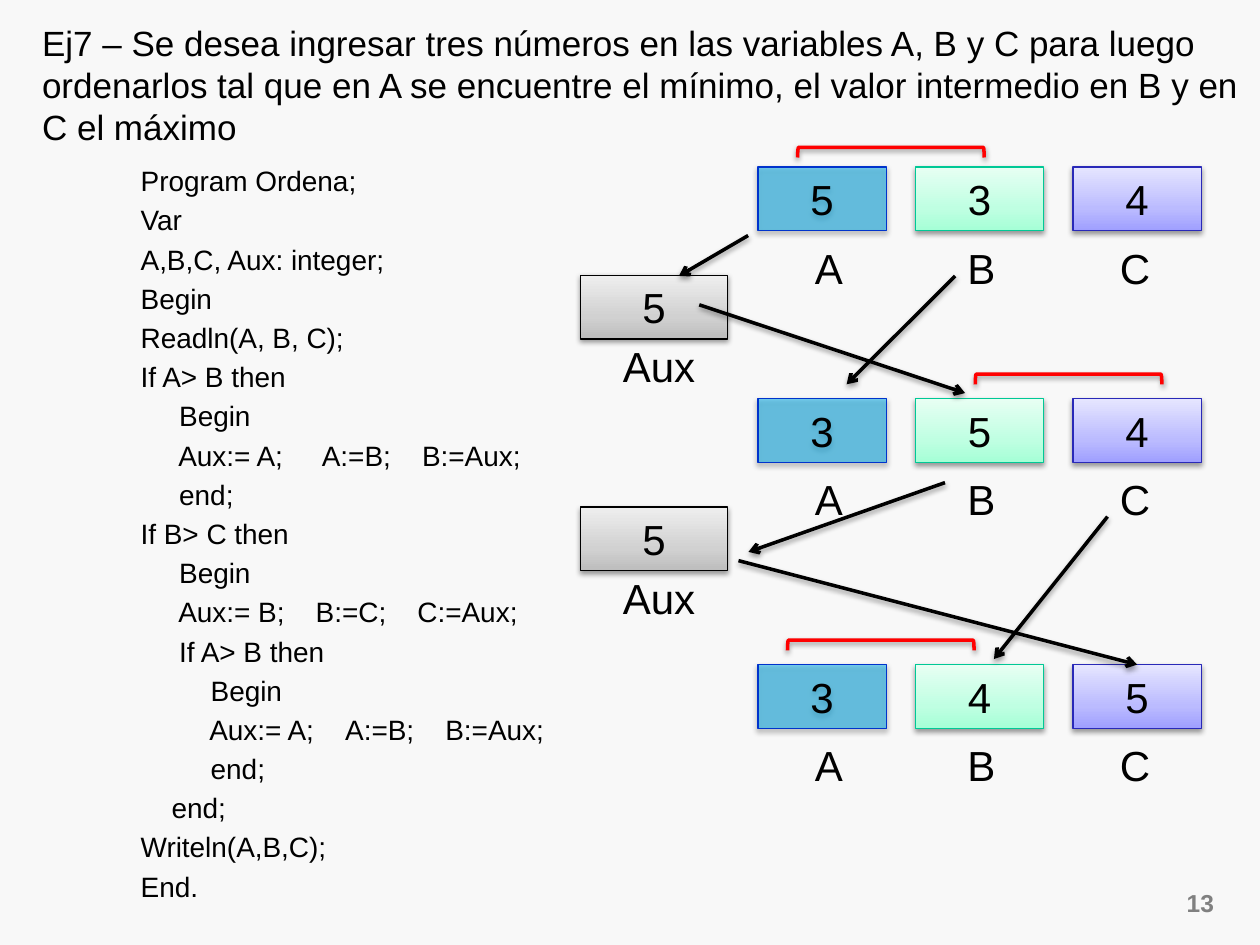
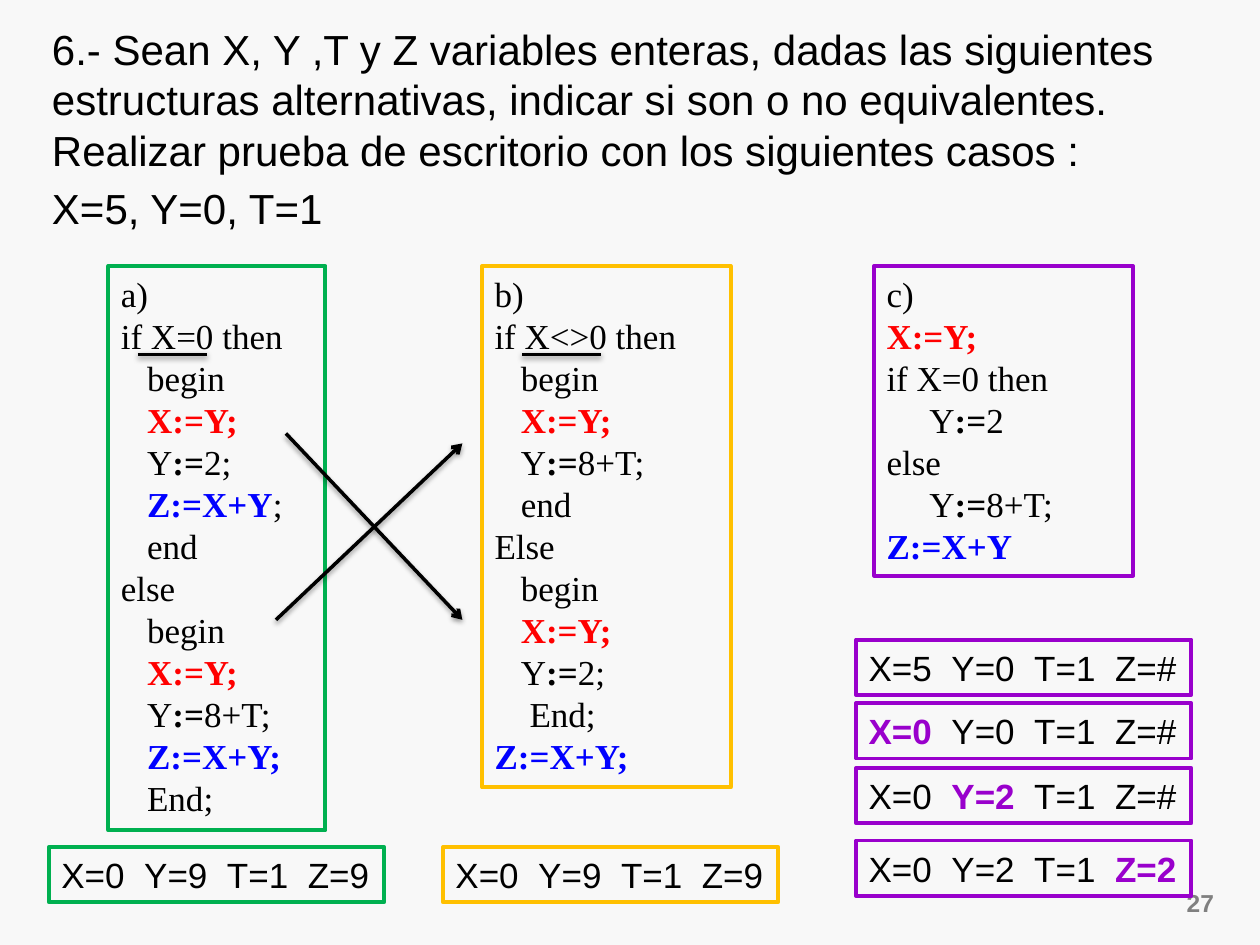
from lxml.etree import SubElement
from pptx import Presentation
from pptx.dml.color import RGBColor
from pptx.enum.shapes import MSO_CONNECTOR, MSO_SHAPE as SHAPE
from pptx.enum.text import MSO_ANCHOR as ANCHOR, MSO_AUTO_SIZE as AUTO_SIZE, PP_ALIGN as ALIGN
from pptx.oxml.ns import qn
from pptx.util import Pt

BLACK, RED, BLUE = "000000", "FF0000", "0000FF"
GREEN, AMBER, PURPLE = "00B050", "FFC000", "9900CC"
SANS, SERIF = "Arial", "Times New Roman"
SPACE_WIDTH = 0.278  # of the size, in the sans font

# Fill colours from bottom to top, and outline, of each memory cell
CELL_STYLES = {
    "A": (["00B0F0"], "0033CC"),
    "B": (["A5FFD6", "BFFFE2", "E7FFF3"], "00C896"),
    "C": (["9F9FFF", "BBBBFF", "E5E5FF"], "2929B8"),
    "Aux": (["BDBDBD", "D1D1D1", "EEEEEE"], BLACK),
}

# A line is its left indent and its pieces. A piece is plain text,
# (text, colour) for bold, or a number for a gap of that width.
PROGRAM = [
    (0, ["Program Ordena;"]),
    (0, ["Var"]),
    (0, ["A,B,C, Aux: integer;"]),
    (0, ["Begin"]),
    (0, ["Readln(A, B, C);"]),
    (0, ["If A> B then"]),
    (22, ["Begin"]),
    (21.5, ["Aux:= A;", 22.2, "A:=B;", 17.8, "B:=Aux;"]),
    (22, ["end;"]),
    (0, ["If B> C then"]),
    (22, ["Begin"]),
    (21.5, ["Aux:= B;", 17.8, "B:=C;", 17.8, "C:=Aux;"]),
    (22, ["If A> B then"]),
    (40, ["Begin"]),
    (39.2, ["Aux:= A;", 17.8, "A:=B;", 17.8, "B:=Aux;"]),
    (40, ["end;"]),
    (17.7, ["end;"]),
    (0, ["Writeln(A,B,C);"]),
    (0, ["End."]),
]

SET_X, SET_Z, ASSIGN = ("X:=Y;", RED), ("Z:=X+Y;", BLUE), (":=", BLACK)
Y_TWO, Y_SUM = ["Y", ASSIGN, "2;"], ["Y", ASSIGN, "8+T;"]
ALTERNATIVES = [
    ((62, 152, 124, 322.5), GREEN, [
        (0, ["a)"]), (0, ["if X=0 then"]), (15, ["begin"]), (15, [SET_X]), (15, Y_TWO),
        (15, [("Z:=X+Y", BLUE), ";"]), (15, ["end"]), (0, ["else"]), (15, ["begin"]),
        (15, [SET_X]), (15, Y_SUM), (15, [SET_Z]), (15, ["End;"])]),
    ((275.5, 152, 142, 298), AMBER, [
        (0, ["b)"]), (0, ["if X<>0 then"]), (15, ["begin"]), (15, [SET_X]), (15, Y_SUM),
        (15, ["end"]), (0, ["Else"]), (15, ["begin"]), (15, [SET_X]), (15, Y_TWO),
        (20, ["End;"]), (0, [SET_Z])]),
    ((499.5, 152, 148, 177), PURPLE, [
        (0, ["c)"]), (0, [SET_X]), (0, ["if X=0 then"]), (24.5, ["Y", ASSIGN, "2"]),
        (0, ["else"]), (24.5, Y_SUM), (0, [("Z:=X+Y", BLUE)])]),
]

# Left, top, outline and values of each trace of the variables
TRACE_GAP = 11.1
TRACES = [
    (28, 484, GREEN, ["X=0", "Y=9", "T=1", "Z=9"]),
    (253.2, 484, AMBER, ["X=0", "Y=9", "T=1", "Z=9"]),
    (489.3, 365.5, PURPLE, ["X=5", "Y=0", "T=1", "Z=#"]),
    (489.3, 401.8, PURPLE, [("X=0", PURPLE), "Y=0", "T=1", "Z=#"]),
    (489.3, 438.8, PURPLE, ["X=0", ("Y=2", PURPLE), "T=1", "Z=#"]),
    (489.3, 480.3, PURPLE, ["X=0", "Y=2", "T=1", ("Z=2", PURPLE)]),
]


def rgb(hex_code):
    return RGBColor.from_string(hex_code)


def add_shadow(shape):
    """Give the shape a soft shadow just below it; its line must be set already."""
    props = shape._element.spPr
    effects = props.find(qn("a:effectLst"))
    if effects is None:
        effects = SubElement(props, qn("a:effectLst"))
    outer = SubElement(effects, qn("a:outerShdw"), blurRad=str(Pt(3.1)),
                       dist=str(Pt(1.6)), dir="5400000", rotWithShape="0")
    color = SubElement(outer, qn("a:srgbClr"), val=BLACK)
    SubElement(color, qn("a:alpha"), val="38000")


def fill_gradient(shape, colors):
    shape.fill.gradient()
    shape.fill.gradient_angle = 90
    stops = shape._element.spPr.find(".//" + qn("a:gsLst"))
    for old_stop in list(stops):
        stops.remove(old_stop)
    for position, color in zip((0, 35000, 100000), colors):
        stop = SubElement(stops, qn("a:gs"), pos=str(position))
        SubElement(stop, qn("a:srgbClr"), val=color)


def format_line(paragraph, size, font=SANS, color=BLACK, bold=False,
                align=ALIGN.LEFT, before=0, indent=0):
    paragraph.alignment = align
    paragraph.space_before = Pt(before)
    paragraph.line_spacing = Pt(1.2 * size)
    props = paragraph._p.get_or_add_pPr()
    props.set("marL", str(Pt(indent)))
    props.set("indent", "0")
    SubElement(props, qn("a:buNone"))
    for run in paragraph.runs:
        run.font.name, run.font.size, run.font.bold = font, Pt(size), bold
        run.font.color.rgb = rgb(color)


def write_lines(frame, lines, size, **style):
    for index, (indent, pieces) in enumerate(lines):
        paragraph = frame.add_paragraph() if index else frame.paragraphs[0]
        runs = [paragraph.add_run() for _ in pieces]
        format_line(paragraph, size, indent=indent, **style)
        for run, piece in zip(runs, pieces):
            if isinstance(piece, str):
                run.text = piece
            elif isinstance(piece, tuple):
                run.text, run.font.bold = piece[0], True
                run.font.color.rgb = rgb(piece[1])
            else:
                run.text = " "
                spacing = round(100 * (piece - SPACE_WIDTH * size))
                run.font._element.set("spc", str(spacing))


class Deck:
    def __init__(self):
        self.prs = Presentation()
        self.prs.slide_width, self.prs.slide_height = Pt(720), Pt(540)
        background = self.prs.slide_master.background.fill
        background.solid()
        background.fore_color.rgb = rgb("F8F8F8")

    def new_slide(self, number):
        self.slide = self.prs.slides.add_slide(self.prs.slide_layouts[1])
        self.shapes = self.slide.shapes
        self.label(number, 653.8, 504, 47, size=14, color="808080", bold=True, align=ALIGN.RIGHT)

    def place(self, placeholder, left, top, width, height, anchor):
        placeholder.left, placeholder.top = Pt(left), Pt(top)
        placeholder.width, placeholder.height = Pt(width), Pt(height)
        frame = placeholder.text_frame
        frame.auto_size, frame.word_wrap = AUTO_SIZE.NONE, True
        frame.vertical_anchor = anchor
        return frame

    def title(self, text, *box):
        frame = self.place(self.shapes.title, *box, ANCHOR.MIDDLE)
        frame.text = text
        format_line(frame.paragraphs[0], 20)

    def body(self, lines, size, *box):
        frame = self.place(self.slide.placeholders[1], *box, ANCHOR.TOP)
        write_lines(frame, lines, size, before=0.2 * size)

    def label(self, text, left, top, width, size=24, **style):
        frame = self.shapes.add_textbox(Pt(left), Pt(top), Pt(width),
                                        Pt(1.2 * size + 7.2)).text_frame
        frame.word_wrap = True
        frame.text = text
        format_line(frame.paragraphs[0], size, **style)

    def outline(self, kind, box, color, weight, anchor=ANCHOR.MIDDLE):
        shape = self.shapes.add_shape(kind, *map(Pt, box))
        shape.shadow.inherit = False
        shape.fill.background()
        shape.line.color.rgb, shape.line.width = rgb(color), Pt(weight)
        shape.text_frame.word_wrap = True
        shape.text_frame.vertical_anchor = anchor
        return shape

    def cell(self, variable, value, left, top, width):
        colors, border = CELL_STYLES[variable]
        cell = self.outline(SHAPE.RECTANGLE, (left, top, width, 36.4), border, 0.75)
        if len(colors) > 1:
            fill_gradient(cell, colors)
        else:
            cell.fill.solid()
            cell.fill.fore_color.rgb = rgb(colors[0])
            color = cell._element.spPr.find(qn("a:solidFill"))[0]
            SubElement(color, qn("a:alpha"), val="50000")
        add_shadow(cell)
        cell.text_frame.text = value
        format_line(cell.text_frame.paragraphs[0], 24, align=ALIGN.CENTER)
        return cell

    def memory(self, values, top):
        """Draw cells A, B and C with their names; return the cells."""
        cells = []
        for column, (variable, value) in enumerate(zip("ABC", values)):
            cells.append(self.cell(variable, value, 433.1 + 90 * column, top, 73.4))
            self.label(variable, 458.6 + 87.1 * column, top + 39.4, 32)
        return cells

    def aux(self, value, top):
        self.cell("Aux", value, 331.7, top, 84.2)
        self.label("Aux", 348.8, top + 33.8, 62)

    def bracket(self, left, top):
        bracket = self.outline(SHAPE.LEFT_BRACKET, (left, top, 5.8, 106.6), RED, 2)
        bracket.rotation = 90
        add_shadow(bracket)

    def stroke(self, start, end, arrow=True, target=None):
        """Draw a shadowed line, joined to the top of target if there is one."""
        stroke = self.shapes.add_connector(MSO_CONNECTOR.STRAIGHT, *map(Pt, start + end))
        if target is not None:
            stroke.end_connect(target, 0)
        stroke.line.color.rgb, stroke.line.width = rgb(BLACK), Pt(2)
        if arrow:
            SubElement(stroke.line._get_or_add_ln(), qn("a:tailEnd"), type="arrow")
        add_shadow(stroke)

    def code_box(self, box, color, lines):
        frame = self.outline(SHAPE.RECTANGLE, box, color, 2.25, ANCHOR.TOP).text_frame
        write_lines(frame, lines, 20, font=SERIF)

    def trace(self, left, top, color, values):
        frame = self.outline(SHAPE.RECTANGLE, (left, top, 191.5, 31.7), color, 2.25).text_frame
        frame.margin_right = 0
        pieces = [piece for value in values for piece in (value, TRACE_GAP)][:-1]
        write_lines(frame, [(0, pieces)], 20)


def sorting_slide(deck):
    deck.new_slide("13")
    deck.title("Ej7 – Se desea ingresar tres números en las variables A, B y C para luego "
               "ordenarlos tal que en A se encuentre el mínimo, el valor intermedio en B "
               "y en C el máximo", 16.8, 17, 703.2, 62.6)
    deck.body(PROGRAM, 16, 73.2, 90, 281.5, 456)
    deck.memory("534", 95.5)
    deck.memory("354", 227.9)
    sorted_cells = deck.memory("345", 379.8)
    for top in (157.3, 289.8):
        deck.aux("5", top)
    for start, end in [((427.5, 134.6), (388, 157.7)), ((545.8, 157.7), (483.8, 219.6)),
                       ((399.6, 174.2), (551.5, 224.6)), ((540, 275.8), (427.7, 315.4)),
                       ((632.9, 295.2), (568, 376.6))]:
        deck.stroke(start, end)
    deck.stroke((422, 320.4), (649.8, 379.8), target=sorted_cells[2])
    for left, top in [(506.2, 33.8), (607.7, 163.4), (500.4, 315.4)]:
        deck.bracket(left, top)


def equivalence_slide(deck):
    deck.new_slide("27")
    title = deck.shapes.title._element
    title.getparent().remove(title)
    deck.body([(0, ["6.- Sean X, Y ,T y Z variables enteras, dadas las siguientes estructuras "
                    "alternativas, indicar si son o no equivalentes. Realizar prueba de "
                    "escritorio con los siguientes casos :"]),
               (0, ["X=5, Y=0, T=1"])], 24, 22.5, 9.7, 697.5, 137)
    for alternative in ALTERNATIVES:
        deck.code_box(*alternative)
    for trace in TRACES:
        deck.trace(*trace)
    deck.stroke((163.4, 247.7), (264.2, 354.2))
    deck.stroke((157.7, 354.2), (264.2, 253.4))
    for left, right in [(78.8, 118.2), (298.3, 343.4)]:
        deck.stroke((left, 202.5), (right, 202.5), arrow=False)


def main():
    deck = Deck()
    sorting_slide(deck)
    equivalence_slide(deck)
    deck.prs.save("out.pptx")


if __name__ == "__main__":
    main()
